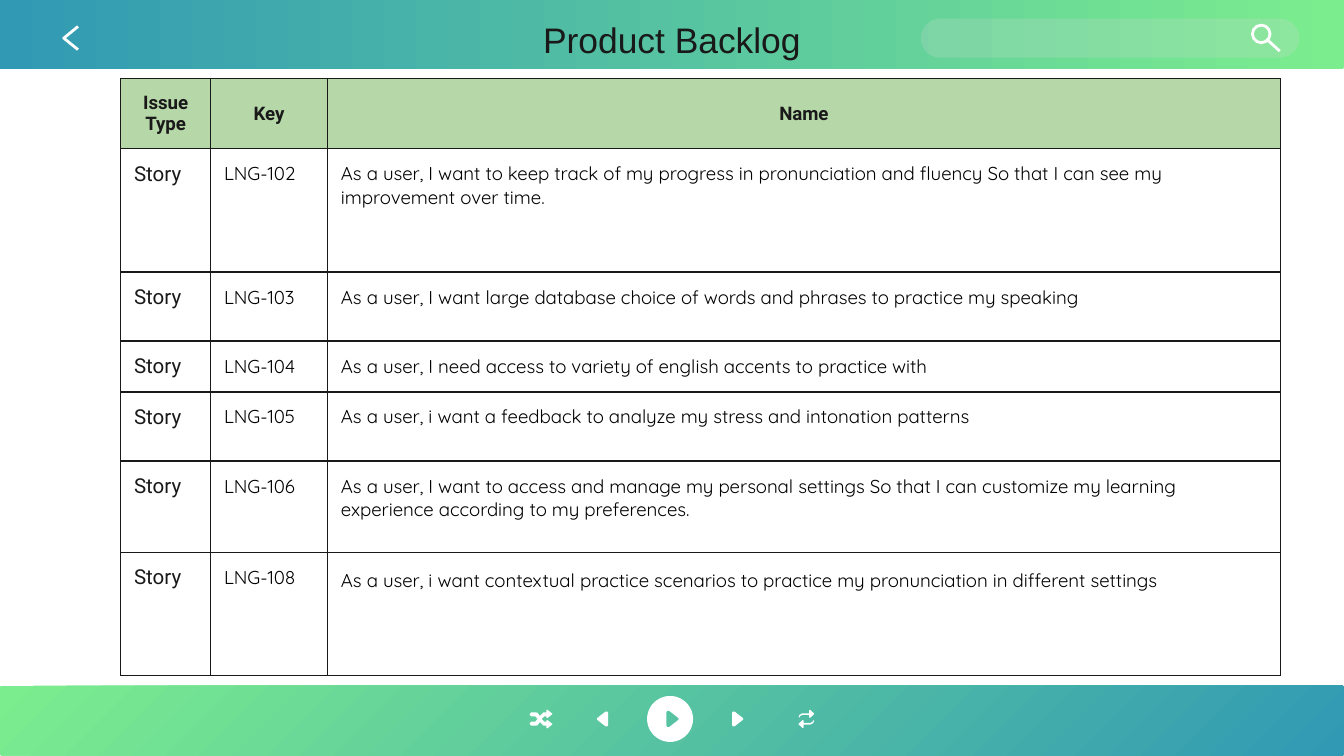
from dataclasses import dataclass
from math import cos, pi, sin

from lxml.etree import SubElement
from pptx import Presentation
from pptx.dml.color import RGBColor
from pptx.enum.shapes import MSO_CONNECTOR, MSO_SHAPE
from pptx.enum.text import MSO_ANCHOR, MSO_AUTO_SIZE, PP_ALIGN
from pptx.oxml.ns import qn
from pptx.util import Pt


@dataclass(frozen=True)
class Theme:
    """Colours, fonts and type sizes of the slide."""

    green: str = "7CED8E"
    blue: str = "3199B4"
    search: str = "D9D9D9"
    icon: str = "FFFFFF"
    stroke: str = "FEFEFE"
    ink: str = "191919"
    black: str = "000000"
    header: str = "B6D7A8"
    title_font: str = "Arial"
    label_font: str = "Roboto"
    body_font: str = "Quicksand"
    title_size: float = 19
    type_size: float = 11
    body_size: float = 10


THEME = Theme()
INSET = Pt(7.2)
CONTROLS_Y = 385.2
COLUMN_WIDTHS = (48.24, 62.64, 510.48)
ROW_HEIGHTS = (34.5, 66, 37, 25.5, 37, 49, 66)
HEADINGS = ("Issue Type", "Key", "Name")
STORIES = (
    ("LNG-102", "As a user, I want to keep track of my progress in pronunciation and fluency "
                "So that I can see my improvement over time."),
    ("LNG-103", "As a user, I want large database choice of words and phrases to practice my speaking"),
    ("LNG-104", "As a user, I need access to variety of english accents to practice with"),
    ("LNG-105", "As a user, i want a feedback to analyze my stress and intonation patterns"),
    ("LNG-106", "As a user, I want to access and manage my personal settings "
                "So that I can customize my learning experience according to my preferences."),
    ("LNG-108", "As a user, i want contextual practice scenarios to practice my pronunciation "
                "in different settings"),
)
POINTER_HALF = [(0, -3.2), (0.3, -3.9), (1, -4), (1.6, -3.8), (5.8, -0.5), (6, 0)]
REPEAT_ARROW = [
    (-4.2, -0.8), (-3.6, -0.8), (-3.3, -1.6), (-2.2, -2.1), (1.5, -2.1), (1.5, -0.8), (2, -0.6),
    (4.2, -2.6), (4.2, -2.9), (2, -4.9), (1.5, -4.6), (1.5, -3), (-2.2, -3), (-3.7, -2.2),
]
SHUFFLE_HALF = [
    (0.4, 0), (1.8, -1.4), (3, -1.4), (3, -0.8), (3.5, -0.5), (6.1, -2.6), (6.1, -2.9),
    (3.5, -5), (3, -4.7), (3, -3.6), (1.4, -3.5), (-0.5, -1.6), (-1.8, -3.4), (-3.5, -3.6),
    (-5.2, -3.6), (-6.1, -2.5), (-5.2, -1.4), (-3, -1.4), (-1.8, 0),
]


def colour(value):
    """Return a colour from its hexadecimal value."""
    return RGBColor.from_string(value)


def style_font(paragraph, name, size, value, bold=False):
    """Format every run of a paragraph."""
    for run in paragraph.runs:
        run.font.name, run.font.size, run.font.bold = name, Pt(size), bold
        run.font.color.rgb = colour(value)


def add_preset(slide, preset, left, top, width, height):
    """Add a preset shape without shadow or line."""
    shape = slide.shapes.add_shape(preset, Pt(left), Pt(top), Pt(width), Pt(height))
    shape.shadow.inherit = False
    shape.line.fill.background()
    return shape


def add_bar(slide, top, angle):
    """Add a full-width gradient bar."""
    bar = add_preset(slide, MSO_SHAPE.ROUNDED_RECTANGLE, 0, top, 720, 37.5)
    bar.adjustments[0] = 0.03
    bar.fill.gradient()
    bar.fill.gradient_angle = angle
    for stop, value in zip(bar.fill.gradient_stops, (THEME.green, THEME.blue)):
        stop.color.rgb = colour(value)


def add_stroke(slide, start, end):
    """Add one straight icon stroke."""
    line = slide.shapes.add_connector(MSO_CONNECTOR.STRAIGHT, *map(Pt, start + end))
    line.line.color.rgb = colour(THEME.stroke)
    line.line.width = Pt(1.5)
    SubElement(line.element.spPr, qn("a:effectLst"))


def add_search(slide):
    """Add the search field and its magnifier."""
    field = add_preset(slide, MSO_SHAPE.ROUNDED_RECTANGLE, 493.2, 10, 203, 20.9)
    field.adjustments[0] = 0.5
    field.fill.solid()
    field.fill.fore_color.rgb = colour(THEME.search)
    SubElement(field.element.spPr.find(".//" + qn("a:srgbClr")), qn("a:alpha"), val="21000")
    lens = add_preset(slide, MSO_SHAPE.OVAL, 671, 13.5, 9.4, 9.4)
    lens.fill.background()
    lens.line.color.rgb = colour(THEME.stroke)
    lens.line.width = Pt(1.5)
    add_stroke(slide, (679, 21.4), (685.6, 27.4))


def add_icon(slide, *contours):
    """Add a white outline made of one or more closed contours."""
    contours = [[(Pt(x), Pt(y)) for x, y in contour] for contour in contours]
    builder = slide.shapes.build_freeform(*contours[0][0])
    builder.add_line_segments(contours[0][1:])
    for contour in contours[1:]:
        builder.move_to(*contour[0])
        builder.add_line_segments(contour[1:])
    icon = builder.convert_to_shape()
    icon.shadow.inherit = False
    icon.fill.solid()
    icon.fill.fore_color.rgb = colour(THEME.icon)
    icon.line.fill.background()


def place(points, x, y=CONTROLS_Y, scale_x=1, scale_y=1):
    """Scale points and move them to a position."""
    return [(x + px * scale_x, y + py * scale_y) for px, py in points]


def mirrored(half):
    """Close a half outline with its reflection below the axis."""
    return half + [(x, -y) for x, y in reversed(half) if y]


def add_controls(slide):
    """Add the playback icons of the bottom bar."""
    pointer = mirrored(POINTER_HALF)
    circle = [(12.3 * cos(step * pi / 36), 12.3 * sin(step * pi / 36)) for step in range(72)]
    add_icon(slide, place(mirrored(SHUFFLE_HALF), 289.8))
    add_icon(slide, place(pointer, 325.8, scale_x=-1))
    add_icon(slide, place(circle, 359), place(pointer, 357, scale_x=1.1, scale_y=1.1))
    add_icon(slide, place(pointer, 392.2))
    for direction in (1, -1):
        add_icon(slide, place(REPEAT_ARROW, 432, scale_x=direction, scale_y=direction))


def add_title(slide, text):
    """Fill the title placeholder and bring it to the front."""
    title = slide.shapes.title
    title.left, title.top, title.width, title.height = map(Pt, (68.4, 3.6, 583.2, 12.2))
    frame = title.text_frame
    frame.text = text
    frame.auto_size = MSO_AUTO_SIZE.NONE
    frame.vertical_anchor = MSO_ANCHOR.TOP
    frame.margin_left = frame.margin_right = frame.margin_top = frame.margin_bottom = INSET
    frame.paragraphs[0].alignment = PP_ALIGN.CENTER
    style_font(frame.paragraphs[0], THEME.title_font, THEME.title_size, THEME.ink)
    title.element.getparent().append(title.element)


def fill_cell(cell, text, font, size, value, is_header):
    """Write one table cell with its borders and fill."""
    cell.text = text
    cell.margin_left = cell.margin_right = cell.margin_top = cell.margin_bottom = INSET
    properties = cell._tc.get_or_add_tcPr()
    for side in ("a:lnL", "a:lnR", "a:lnT", "a:lnB"):
        border = SubElement(properties, qn(side), w=str(Pt(0.75)))
        SubElement(SubElement(border, qn("a:solidFill")), qn("a:srgbClr"), val=THEME.ink)
    paragraph = cell.text_frame.paragraphs[0]
    style_font(paragraph, font, size, value, is_header)
    if is_header:
        paragraph.alignment = PP_ALIGN.CENTER
        cell.vertical_anchor = MSO_ANCHOR.MIDDLE
        cell.fill.solid()
        cell.fill.fore_color.rgb = colour(THEME.header)
    else:
        cell.fill.background()


def add_backlog(slide):
    """Add the table of backlog stories."""
    table = slide.shapes.add_table(
        len(ROW_HEIGHTS), len(COLUMN_WIDTHS), Pt(64.6), Pt(42),
        Pt(sum(COLUMN_WIDTHS)), Pt(sum(ROW_HEIGHTS))).table
    table.first_row = table.horz_banding = False
    for column, width in zip(table.columns, COLUMN_WIDTHS):
        column.width = Pt(width)
    for row, height in zip(table.rows, ROW_HEIGHTS):
        row.height = Pt(height)
    heading_style = (THEME.label_font, THEME.body_size, THEME.ink, True)
    type_style = (THEME.label_font, THEME.type_size, THEME.ink, False)
    body_style = (THEME.body_font, THEME.body_size, THEME.black, False)
    for column, heading in enumerate(HEADINGS):
        fill_cell(table.cell(0, column), heading, *heading_style)
    for row, story in enumerate(STORIES, 1):
        fill_cell(table.cell(row, 0), "Story", *type_style)
        for column, text in enumerate(story, 1):
            fill_cell(table.cell(row, column), text, *body_style)
    table.cell(len(STORIES), 2).text_frame.paragraphs[0].line_spacing = 1.15


def main():
    """Build and save the backlog slide."""
    presentation = Presentation()
    presentation.slide_width, presentation.slide_height = Pt(720), Pt(405)
    slide = presentation.slides.add_slide(presentation.slide_layouts[5])
    add_bar(slide, -0.5, 180)
    add_search(slide)
    add_bar(slide, 367.3, 315)
    add_controls(slide)
    for tip_y, end_y in ((20.7, 14.2), (20.2, 26.6)):
        add_stroke(slide, (33.9, tip_y), (41.8, end_y))
    add_title(slide, "Product Backlog")
    add_backlog(slide)
    presentation.save("out.pptx")


if __name__ == "__main__":
    main()
